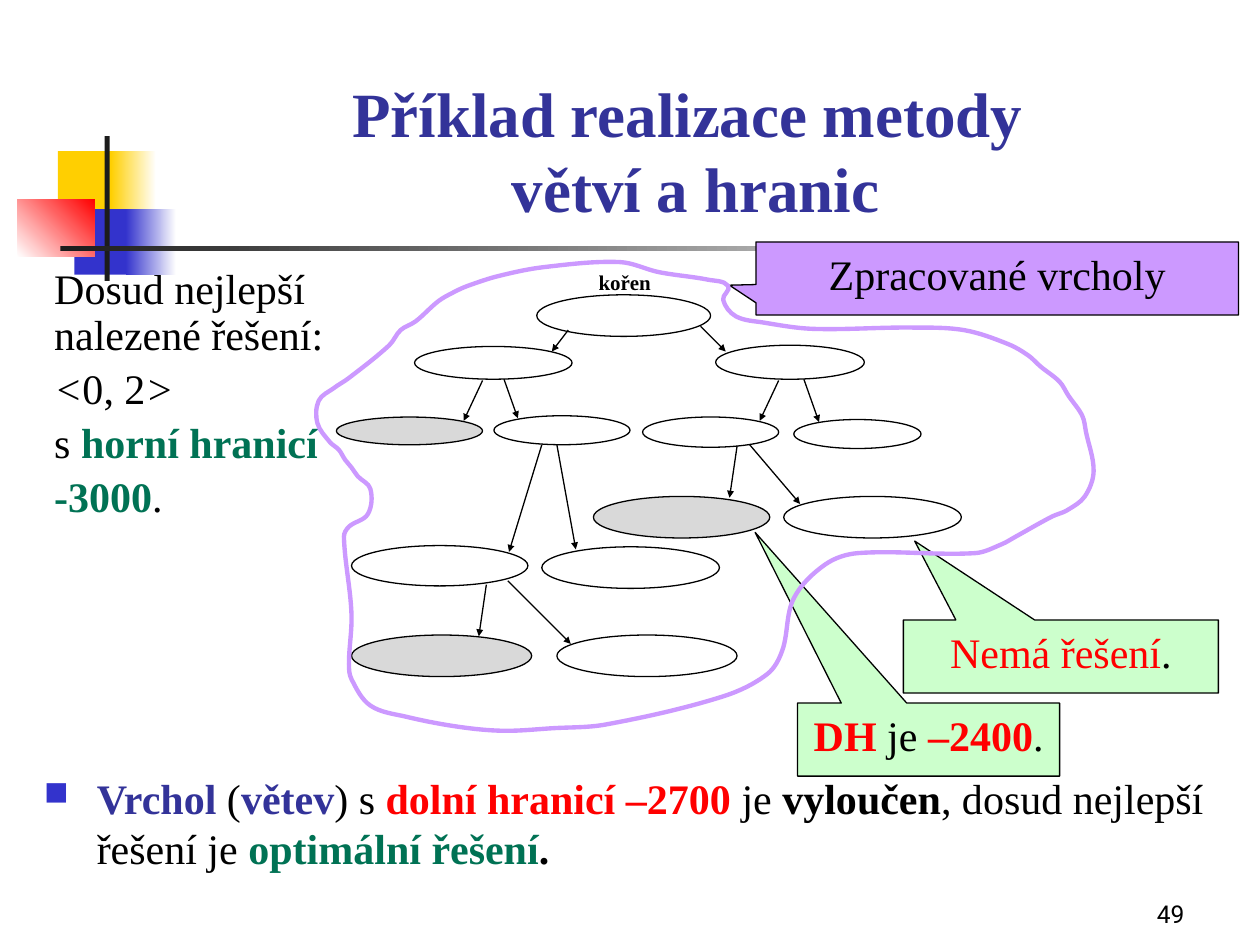
from math import dist

from lxml import etree
from pptx import Presentation
from pptx.dml.color import RGBColor
from pptx.enum.shapes import MSO_CONNECTOR, MSO_SHAPE
from pptx.enum.text import MSO_ANCHOR, MSO_AUTO_SIZE, PP_ALIGN
from pptx.oxml.ns import qn
from pptx.util import Inches, Pt

RECTANGLE, OVAL = MSO_SHAPE.RECTANGLE, MSO_SHAPE.OVAL
CALLOUT = MSO_SHAPE.RECTANGULAR_CALLOUT
STRAIGHT = MSO_CONNECTOR.STRAIGHT
TOP, BOTTOM = MSO_ANCHOR.TOP, MSO_ANCHOR.BOTTOM
LEFT, CENTER, RIGHT = PP_ALIGN.LEFT, PP_ALIGN.CENTER, PP_ALIGN.RIGHT
NO_AUTOFIT = MSO_AUTO_SIZE.NONE

SERIF = "Times New Roman"
BLACK, WHITE, GREY, DARK = "000000", "FFFFFF", "D9D9D9", "1C1C1C"
YELLOW, BLUE, NAVY, RED = "FFCF01", "3333CC", "333399", "FF0000"
GREEN, MINT, VIOLET = "007254", "CCFFCC", "CC99FF"

# Master decoration: box, colour or gradient pair, gradient angle
DECORATION = [
    ((0.46, 1.2, 0.48, 0.52), (YELLOW,), 0),
    ((0.88, 1.2, 0.36, 0.52), (YELLOW, WHITE), 0),
    ((0.59, 1.66, 0.46, 0.52), (BLUE,), 0),
    ((1, 1.66, 0.4, 0.52), (BLUE, WHITE), 0),
    ((0.14, 1.58, 0.61, 0.46), (WHITE, RED), 45),
    ((0.83, 1.08, 0.04, 1.15), (DARK,), 0),
    ((0.48, 1.95, 9, 0.04), (DARK, WHITE), 0),
]

# Search tree: open vertices, closed vertices, edges
OPEN_VERTICES = [
    (4.26, 2.34, 1.38, 0.33), (3.29, 2.75, 1.25, 0.26), (5.68, 2.74, 1.18, 0.27),
    (3.92, 3.3, 1.08, 0.23), (5.1, 3.31, 1.08, 0.24), (6.3, 3.33, 1.01, 0.23),
    (4.3, 4.34, 1.41, 0.33), (2.79, 4.33, 1.4, 0.32), (6.22, 3.94, 1.41, 0.33),
    (4.42, 5.04, 1.43, 0.33),
]
CLOSED_VERTICES = [
    (2.67, 3.31, 1.16, 0.22), (4.71, 3.94, 1.4, 0.33), (2.79, 5.04, 1.43, 0.33),
]
EDGES = [
    (5.56, 2.59, 5.76, 2.79), (4.51, 2.62, 4.38, 2.79), (3.83, 3.02, 3.68, 3.34),
    (4, 3.01, 4.11, 3.32), (6.18, 3.02, 6.03, 3.34), (6.38, 3.01, 6.5, 3.35),
    (4.3, 3.53, 4.04, 4.38), (4.42, 3.53, 4.57, 4.36), (5.85, 3.54, 5.79, 3.95),
    (5.95, 3.53, 6.35, 4), (3.86, 4.64, 3.8, 5.05), (4.03, 4.61, 4.53, 5.11),
]

# Callouts: box, pointer adjustments, fill, text runs
CALLOUTS = [
    ((6, 1.92, 3.83, 0.58), (-0.555, 0.092), VIOLET, [("Zpracované vrcholy", BLACK)]),
    ((7.17, 4.92, 2.5, 0.58), (-0.464, -1.58), MINT,
     [("Nemá řešení", RED), (".", BLACK)]),
    ((6.33, 5.58, 2.08, 0.58), (-0.662, -2.836), MINT,
     [("DH ", RED, "b"), ("je ", BLACK), ("–2400", RED, "b"), (".", BLACK)]),
]

# Points on the hand-drawn boundary of the processed vertices
BOUNDARY = [
    (5.78, 2.27), (5.62, 2.22), (5.23, 2.16), (4.92, 2.08), (4.32, 2.12), (3.96, 2.19),
    (3.71, 2.27), (3.6, 2.32), (3.48, 2.39), (3.3, 2.55), (3.18, 2.62), (3.09, 2.74),
    (2.77, 3), (2.65, 3.08), (2.53, 3.18), (2.52, 3.36), (2.62, 3.51), (2.69, 3.57),
    (2.74, 3.65), (2.79, 3.71), (2.84, 3.78), (2.94, 3.88), (2.92, 4.08), (2.77, 4.18),
    (2.73, 4.26), (2.79, 4.87), (2.77, 5.27), (2.79, 5.39), (2.94, 5.6), (3.23, 5.69),
    (3.65, 5.77), (4, 5.8), (4.38, 5.78), (4.81, 5.75), (5.73, 5.53), (6.09, 5.35),
    (6.21, 5.16), (6.3, 4.75), (6.55, 4.48), (6.81, 4.39), (7.74, 4.39), (7.95, 4.32),
    (8.06, 4.26), (8.35, 4.1), (8.47, 4.05), (8.61, 3.94), (8.68, 3.74), (8.62, 3.43),
    (8.59, 3.3), (8.48, 3.14), (8.41, 3.03), (8.26, 2.91), (8.16, 2.82), (8, 2.73),
    (7.65, 2.62), (7.22, 2.6), (6.45, 2.61), (6.06, 2.56), (5.84, 2.51), (5.74, 2.38),
]


def color(value):
    return RGBColor.from_string(value)


def inches(values):
    return [Inches(value) for value in values]


def style_shape(shape, fill, line, width=0.75):
    shape.shadow.inherit = False
    if fill:
        shape.fill.solid()
        shape.fill.fore_color.rgb = color(fill)
    else:
        shape.fill.background()
    if line:
        shape.line.color.rgb = color(line)
        shape.line.width = Pt(width)
    else:
        shape.line.fill.background()


def add_shape(slide, kind, box, fill=None, line=None):
    shape = slide.shapes.add_shape(kind, *inches(box))
    style_shape(shape, fill, line)
    return shape


def add_decoration(slide, box, colors, angle):
    shape = add_shape(slide, RECTANGLE, box, colors[0])
    if len(colors) == 2:
        shape.fill.gradient()
        shape.fill.gradient_angle = angle
        for stop, value in zip(shape.fill.gradient_stops, colors):
            stop.color.rgb = color(value)


def add_arrow(slide, ends):
    arrow = slide.shapes.add_connector(STRAIGHT, *inches(ends))
    arrow.line.color.rgb = color(BLACK)
    arrow.line.width = Pt(0.75)
    etree.SubElement(arrow.line._get_or_add_ln(), qn("a:tailEnd"),
                     type="triangle", w="sm", len="sm")
    etree.SubElement(arrow._element.spPr, qn("a:effectLst"))


def set_bullet(paragraph, indent=0.0, mark=None):
    properties = paragraph._p.get_or_add_pPr()
    properties.set("marL", str(Inches(indent)))
    properties.set("indent", str(-Inches(indent)))
    if mark:
        bullet_color = etree.SubElement(properties, qn("a:buClr"))
        etree.SubElement(bullet_color, qn("a:srgbClr"), val=BLUE)
        etree.SubElement(properties, qn("a:buSzPct"), val="80000")
        etree.SubElement(properties, qn("a:buChar"), char=mark)
    else:
        etree.SubElement(properties, qn("a:buNone"))


def write(paragraph, runs, size=24, align=LEFT, font=SERIF):
    """Each run is (text, colour) with an optional "b" or "i"."""
    paragraph.alignment = align
    for text, value, *style in runs:
        run = paragraph.add_run()
        run.text = text
        run.font.name, run.font.size = font, Pt(size)
        run.font.color.rgb = color(value)
        run.font.bold, run.font.italic = "b" in style, "i" in style


def prepare_frame(shape, anchor=TOP):
    frame = shape.text_frame
    frame.word_wrap, frame.auto_size = True, NO_AUTOFIT
    frame.vertical_anchor = anchor
    return frame


def add_text(slide, box, anchor=TOP):
    return prepare_frame(slide.shapes.add_textbox(*inches(box)), anchor)


def place(shape, box):
    shape.left, shape.top, shape.width, shape.height = inches(box)


def fill_title(title):
    place(title, (1.26, 0.42, 8.52, 1.42))
    frame = prepare_frame(title, BOTTOM)
    frame.text = "Příklad realizace metody \vvětví a hranic"
    paragraph = frame.paragraphs[0]
    paragraph.alignment = CENTER
    for run in paragraph.runs:
        run.font.name, run.font.size, run.font.bold = SERIF, Pt(36), True
        run.font.color.rgb = color(NAVY)


def fill_body(body):
    place(body, (0.33, 2.08, 2.88, 2.42))
    frame = prepare_frame(body)
    lines = [
        [("Dosud nejlepší nalezené řešení:", BLACK)],
        [("<", BLACK, "i"), ("0, 2", BLACK), (">", BLACK, "i")],
        [("s ", BLACK), ("horní hranicí", GREEN, "b")],
        [("-3000", GREEN, "b"), (".", BLACK)],
    ]
    for index, runs in enumerate(lines):
        paragraph = frame.add_paragraph() if index else frame.paragraphs[0]
        set_bullet(paragraph)
        paragraph.line_spacing = 0.9
        paragraph.space_before = Pt(5 if index else 0)
        write(paragraph, runs)


def handle(before, point, after, length):
    """Curve handle a third of length from point, along its tangent."""
    share = length / 3 / dist(before, after)
    return [p + share * (a - b) for b, p, a in zip(before, point, after)]


def add_boundary(slide):
    points = [inches(point) for point in BOUNDARY]
    builder = slide.shapes.build_freeform(*points[0])
    builder.add_line_segments(points[1:] + points[:1], close=True)
    shape = builder.convert_to_shape()
    style_shape(shape, None, VIOLET, 2.5)
    # Bend each straight segment into a curve
    segments = list(shape._element.iter(qn("a:lnTo")))
    for i, segment in enumerate(segments):
        a, b, c, d = (points[(i + k) % len(points)] for k in (-1, 0, 1, 2))
        segment.tag = qn("a:cubicBezTo")
        handles = handle(a, b, c, dist(b, c)), handle(d, c, b, dist(b, c))
        for index, (x, y) in enumerate(handles):
            segment.insert(index, etree.Element(
                qn("a:pt"), x=str(int(x - shape.left)), y=str(int(y - shape.top))))


def main():
    presentation = Presentation()
    presentation.slide_width, presentation.slide_height = inches((10, 7.5))
    slide = presentation.slides.add_slide(presentation.slide_layouts[1])

    for box, colors, angle in DECORATION:
        add_decoration(slide, box, colors, angle)
    fill_title(slide.shapes.title)
    fill_body(slide.placeholders[1])

    # Search tree
    root_label = add_text(slide, (4.74, 2.13, 0.48, 0.23))
    root_label.margin_left = root_label.margin_right = Inches(0.01)
    root_label.margin_top = root_label.margin_bottom = Inches(0.01)
    write(root_label.paragraphs[0], [("kořen", BLACK, "b")], 12)
    for vertices, fill in ((OPEN_VERTICES, None), (CLOSED_VERTICES, GREY)):
        for box in vertices:
            add_shape(slide, OVAL, box, fill, BLACK)
    for ends in EDGES:
        add_arrow(slide, ends)

    # Conclusion
    conclusion = add_text(slide, (0.25, 6.08, 9.44, 1)).paragraphs[0]
    set_bullet(conclusion, 0.42, "■")
    write(conclusion, [
        ("Vrchol", NAVY, "b"), (" (", BLACK), ("větev", NAVY, "b"), (") s ", BLACK),
        ("dolní hranicí –2700", RED, "b"), (" je ", BLACK), ("vyloučen", BLACK, "b"),
        (", dosud nejlepší řešení je ", BLACK), ("optimální řešení", GREEN, "b"),
        (".", BLACK, "b")])

    # Callouts and boundary
    for box, pointer, fill, runs in CALLOUTS:
        callout = add_shape(slide, CALLOUT, box, fill, BLACK)
        callout.adjustments[0], callout.adjustments[1] = pointer
        write(prepare_frame(callout).paragraphs[0], runs, align=CENTER)
    add_boundary(slide)

    # Slide number
    number = add_text(slide, (7.42, 6.92, 2.08, 0.5), BOTTOM)
    write(number.paragraphs[0], [("49", BLACK)], 14, RIGHT, "Roboto")
    presentation.save("out.pptx")


if __name__ == "__main__":
    main()
